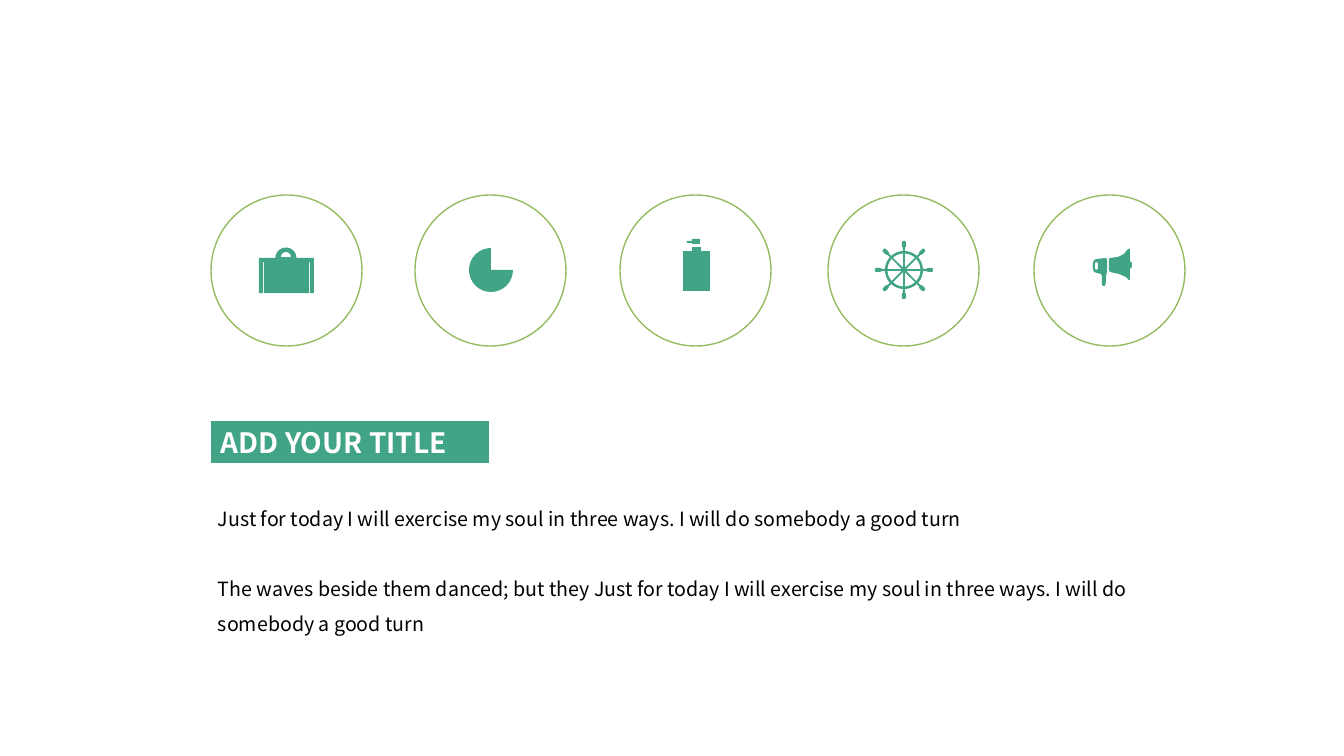
from dataclasses import dataclass
from math import cos, radians, sin

from pptx import Presentation
from pptx.dml.color import RGBColor
from pptx.enum.shapes import MSO_SHAPE
from pptx.enum.text import MSO_ANCHOR, MSO_AUTO_SIZE, PP_ALIGN
from pptx.shapes.autoshape import Shape
from pptx.shapes.shapetree import SlideShapes
from pptx.util import Emu, Pt

OVAL = MSO_SHAPE.OVAL
RECTANGLE = MSO_SHAPE.RECTANGLE
MIDDLE = MSO_ANCHOR.MIDDLE
TOP = MSO_ANCHOR.TOP
LEFT = PP_ALIGN.LEFT
FIT_SHAPE = MSO_AUTO_SIZE.SHAPE_TO_FIT_TEXT

GREEN = RGBColor(0x41, 0xA4, 0x86)
LIME = RGBColor(0x95, 0xBC, 0x61)
WHITE = RGBColor(0xFF, 0xFF, 0xFF)
BLACK = RGBColor(0x00, 0x00, 0x00)
FONT = "Noto Sans CJK SC"
PX_PER_INCH = 100.8

Point = tuple[float, float]
Contour = list[Point]


@dataclass(frozen=True)
class Icon:
    """A filled part of an icon: an outer contour and the holes in it."""

    outline: Contour
    holes: tuple[Contour, ...] = ()


def px(value: float) -> Emu:
    """Convert slide pixels to EMU."""
    return Emu(round(value * 914400 / PX_PER_INCH))


def arc(cx: float, cy: float, radius: float, start: float, end: float, steps: int = 24) -> Contour:
    """Return points along an arc; angles in degrees, clockwise from the right."""
    angles = [radians(start + (end - start) * i / steps) for i in range(steps + 1)]
    return [(cx + radius * cos(a), cy + radius * sin(a)) for a in angles]


def box(left: int, top: int, right: int, bottom: int) -> Contour:
    """Return the corners of a rectangle."""
    return [(left, top), (right, top), (right, bottom), (left, bottom)]


def wheel(cx: int, cy: int) -> Icon:
    """Return a ship's wheel: a rim with eight handles and eight openings."""
    handle = [(19, -1), (22, -1), (24, -2), (28, -2), (29, -1),
              (29, 1), (28, 2), (24, 2), (22, 1), (19, 1)]
    outline: Contour = []
    openings: list[Contour] = []
    for angle in range(0, 360, 45):
        c, s = cos(radians(angle)), sin(radians(angle))
        outline += [(cx + r * c - w * s, cy + r * s + w * c) for r, w in handle]
        outline += arc(cx, cy, 19, angle + 4, angle + 41, 8)
        apex = arc(cx, cy, 2.4, angle + 22.5, angle + 22.5, 1)[:1]
        openings.append(apex + arc(cx, cy, 16.5, angle + 42, angle + 3, 8))
    return Icon(outline, tuple(openings))


CIRCLE_LEFTS = [211, 415, 620, 828, 1034]
CIRCLE_TOP, CIRCLE_SIZE = 195, 151

SUITCASE = Icon(
    [(314, 258), *arc(286, 258, 10.5, 0, -180), (259, 258), (259, 293), (263, 293),
     (263, 262), (264, 262), (264, 293), (309, 293), (309, 262), (310, 262),
     (310, 293), (314, 293)],
    (arc(286, 257, 5, -180, 0),),
)
PIE = Icon([(491, 270), *arc(491, 270, 22, 0, 270)])
NOZZLE = Icon([(692, 239), (700, 239), (700, 244), (692, 244), (692, 243), (687, 243),
               (687, 241), (692, 241)])
NECK = Icon(box(692, 247, 701, 252))
BOTTLE = [Icon(box(683, top, 710, bottom))
          for top, bottom in [(280, 291), (251, 261), (261, 280)]]
GRIP = Icon(
    [(1106, 258), (1097, 259), (1094, 260), (1093, 263), (1093, 269), (1094, 272),
     (1097, 273), (1101, 274), (1102, 276), (1102, 285), (1103, 286), (1105, 286),
     (1106, 282), (1106, 276), (1107, 272), (1107, 260)],
    ([(1095, 269), (1096, 270), (1098, 269), (1098, 263), (1096, 262), (1095, 263)],),
)
HORN = Icon([(1130, 261), (1130, 249), (1128, 249), (1124, 254), (1118, 257), (1110, 258),
             (1109, 259), (1109, 270), (1110, 272), (1119, 274), (1126, 277), (1129, 280),
             (1130, 280), (1130, 269), (1132, 267), (1132, 263)])
ICONS = [SUITCASE, PIE, NECK, NOZZLE, *BOTTLE, wheel(904, 270), GRIP, HORN]

BODY = [
    "Just for today I will exercise my soul in three ways. I will do somebody a good turn",
    "The waves beside them danced; but they Just for today I will exercise my soul "
    "in three ways. I will do somebody a good turn",
]


def draw_icon(shapes: SlideShapes, icon: Icon) -> None:
    """Draw an icon part as one green freeform."""
    first, *holes = [[(px(x), px(y)) for x, y in contour]
                     for contour in (icon.outline, *icon.holes)]
    builder = shapes.build_freeform(*first[0])
    builder.add_line_segments(first[1:], close=True)
    for hole in holes:
        builder.move_to(*hole[0])
        builder.add_line_segments(hole[1:], close=True)
    sp = builder.convert_to_shape()
    sp.shadow.inherit = False
    sp.fill.solid()
    sp.fill.fore_color.rgb = GREEN
    sp.line.fill.background()


def draw_shape(shapes: SlideShapes, kind: MSO_SHAPE, left: int, top: int, width: int,
               height: int, *, line: RGBColor, weight: float,
               fill: RGBColor | None = None) -> Shape:
    """Draw a preset shape with an outline and an optional fill."""
    sp = shapes.add_shape(kind, px(left), px(top), px(width), px(height))
    sp.shadow.inherit = False
    if fill is None:
        sp.fill.background()
    else:
        sp.fill.solid()
        sp.fill.fore_color.rgb = fill
    sp.line.color.rgb = line
    sp.line.width = Pt(weight)
    return sp


def write(sp: Shape, paragraphs: list[str], *, size: int, color: RGBColor,
          bold: bool = False, anchor: MSO_ANCHOR = TOP, spacing: float = 1.0,
          gap: int = 0) -> None:
    """Write left-aligned paragraphs into a shape."""
    tf = sp.text_frame
    tf.word_wrap = True
    tf.auto_size = FIT_SHAPE
    tf.vertical_anchor = anchor
    for i, text in enumerate(paragraphs):
        p = tf.add_paragraph() if i else tf.paragraphs[0]
        p.alignment = LEFT
        p.line_spacing = spacing
        if i:
            p.space_before = Pt(gap)
        r = p.add_run()
        r.text = text
        r.font.name = FONT
        r.font.size = Pt(size)
        r.font.bold = bold
        r.font.color.rgb = color


def main() -> None:
    """Build the slide and save it."""
    prs = Presentation()
    prs.slide_width, prs.slide_height = px(1344), px(756)
    shapes = prs.slides.add_slide(prs.slide_layouts[6]).shapes

    for left in CIRCLE_LEFTS:
        draw_shape(shapes, OVAL, left, CIRCLE_TOP, CIRCLE_SIZE, CIRCLE_SIZE,
                   line=LIME, weight=1)
    for icon in ICONS:
        draw_icon(shapes, icon)

    title = draw_shape(shapes, RECTANGLE, 211, 420, 279, 44,
                       line=WHITE, weight=0.75, fill=GREEN)
    write(title, ["ADD YOUR TITLE"], size=20, color=WHITE, bold=True, anchor=MIDDLE)
    body = shapes.add_textbox(px(208), px(490), px(1014), px(152))
    write(body, BODY, size=14, color=BLACK, spacing=1.5, gap=25)

    prs.save("out.pptx")


if __name__ == "__main__":
    main()
